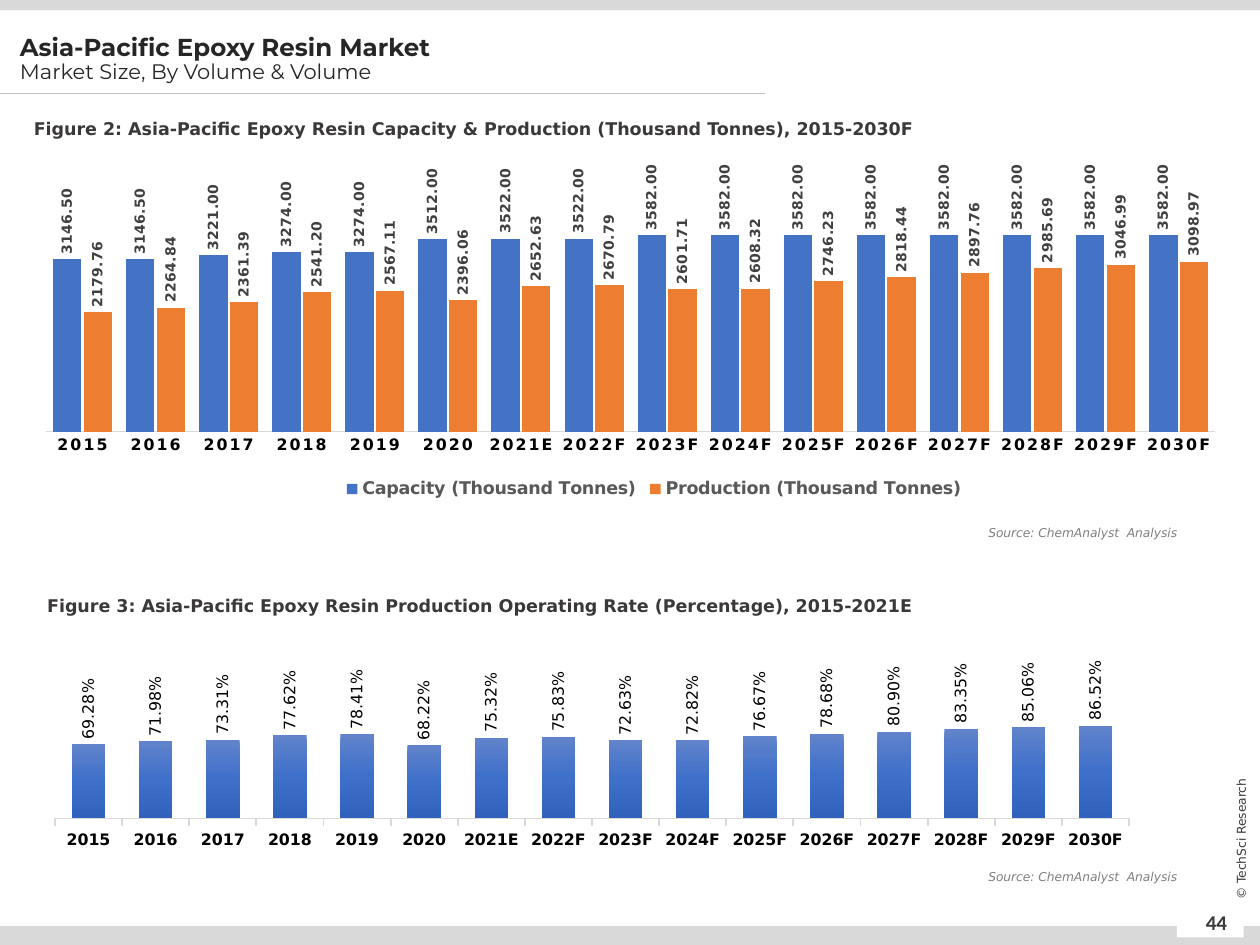
from copy import deepcopy

from lxml.etree import SubElement
from pptx import Presentation
from pptx.chart.data import CategoryChartData
from pptx.dml.color import RGBColor
from pptx.enum.chart import XL_CHART_TYPE, XL_LABEL_POSITION, XL_LEGEND_POSITION, XL_TICK_LABEL_POSITION, XL_TICK_MARK
from pptx.enum.shapes import MSO_CONNECTOR, MSO_SHAPE
from pptx.enum.text import MSO_ANCHOR, PP_ALIGN
from pptx.oxml import parse_xml
from pptx.oxml.ns import nsdecls, qn
from pptx.util import Inches, Pt

COLS, ROWS = 100, 75
WIDTH, HEIGHT = Inches(10), Inches(7.5)
SANS = "DejaVu Sans"
YEARS = [str(y) for y in range(2015, 2021)] + ["2021E"] + [f"{y}F" for y in range(2022, 2031)]
CAPACITY = [3146.5, 3146.5, 3221, 3274, 3274, 3512, 3522, 3522] + [3582] * 8
PRODUCTION = [2179.76, 2264.84, 2361.39, 2541.2, 2567.11, 2396.06, 2652.63, 2670.79,
              2601.71, 2608.32, 2746.23, 2818.44, 2897.76, 2985.69, 3046.99, 3098.97]
RATE = [0.6928, 0.7198, 0.7331, 0.7762, 0.7841, 0.6822, 0.7532, 0.7583,
        0.7263, 0.7282, 0.7667, 0.7868, 0.809, 0.8335, 0.8506, 0.8652]
HEADING = dict(size=10, bold=True, color="3B3838", name=SANS)
SOURCE = dict(size=7, italic=True, color="808080", name=SANS)
AXIS = dict(size=9, bold=True, color="000000", name=SANS)


def rgb(value):
    """Turn a hex string into a colour."""
    return RGBColor.from_string(value)


def place(box, col=0, row=0, cols=0, rows=0):
    """Return the lengths of an area measured in grid cells from a box's corner."""
    left, top = box[:2]
    return (int((left + col) * WIDTH / COLS), int((top + row) * HEIGHT / ROWS),
            int(cols * WIDTH / COLS), int(rows * HEIGHT / ROWS))


def style(font, fmt):
    """Set font attributes from a dict of format values."""
    for key, value in fmt.items():
        if key == "color":
            font.color.rgb = rgb(value)
        else:
            setattr(font, key, Pt(value) if key == "size" else value)


def text(s, area, lines, align=PP_ALIGN.LEFT, spacing=1.0, anchor=MSO_ANCHOR.TOP):
    """Add a text box with one formatted run per paragraph."""
    sp = s.shapes.add_textbox(*area)
    tf = sp.text_frame
    tf.word_wrap, tf.vertical_anchor = True, anchor
    for i, (words, fmt) in enumerate(lines):
        p = tf.add_paragraph() if i else tf.paragraphs[0]
        p.alignment, p.line_spacing = align, spacing
        r = p.add_run()
        r.text = words
        style(r.font, fmt)
    return sp


def bar(s, area, color):
    """Add a plain filled rectangle."""
    sp = s.shapes.add_shape(MSO_SHAPE.RECTANGLE, *area)
    sp.shadow.inherit = False
    sp.fill.solid()
    sp.fill.fore_color.rgb = rgb(color)
    sp.line.fill.background()


def header(s, box):
    """Draw the top band, the title and its rule."""
    bar(s, place(box, 0, 0, 100, 0.8), "D9D9D9")
    left, top, width, _ = place(box, 0, 7.4, 60.7)
    rule = s.shapes.add_connector(MSO_CONNECTOR.STRAIGHT, left, top, left + width, top)
    rule.line.color.rgb, rule.line.width = rgb("BFBFBF"), Pt(0.5)
    SubElement(rule._element.spPr, qn("a:effectLst"))
    title = dict(size=14, bold=True, color="262626", name="Montserrat")
    text(s, place(box, 0.6, 1.4, 61.3, 6.7),
         [("Asia-Pacific Epoxy Resin Market", title),
          ("Market Size, By Volume & Volume", {**title, "size": 12, "bold": False})],
         spacing=0.9, anchor=MSO_ANCHOR.MIDDLE)


def footer(s, box):
    """Draw the bottom band, the page number and the copyright line."""
    bar(s, place(box, 0, 7.7, 100, 1.5), "D9D9D9")
    bar(s, place(box, 93.4, 6.4, 5.3, 2.2), "FFFFFF")
    text(s, place(box, 94.1, 5.4, 4.9, 4),
         [("44", dict(size=12, bold=True, color="3B3838", name="Calibri"))],
         PP_ALIGN.CENTER, anchor=MSO_ANCHOR.MIDDLE)
    note = text(s, place(box, 92.5, 0, 12, 1.6),
                [("© TechSci Research", dict(size=7, color="3B3838", name=SANS))],
                PP_ALIGN.CENTER, anchor=MSO_ANCHOR.MIDDLE)
    note.rotation = 270


def set_layout(parent, index, inner, shares):
    """Fix a chart part at shares of the chart's size."""
    for old in parent.findall(qn("c:layout")):
        parent.remove(old)
    target = '<c:layoutTarget val="inner"/>' if inner else ""
    modes = "".join(f'<c:{k}Mode val="edge"/>' for k in "xy")
    sizes = "".join(f'<c:{k} val="{v}"/>' for k, v in zip("xywh", shares))
    parent.insert(index, parse_xml(f'<c:layout {nsdecls("c")}><c:manualLayout>{target}{modes}{sizes}'
                                   '</c:manualLayout></c:layout>'))


def column_chart(s, area, series, top, fmt, label_font, gap, plot_shares):
    """Add a column chart with upright value labels and no visible value axis."""
    data = CategoryChartData()
    data.categories = YEARS
    for name, values in series:
        data.add_series(name, values)
    chart = s.shapes.add_chart(XL_CHART_TYPE.COLUMN_CLUSTERED, *area, data).chart
    chart.has_title = chart.has_legend = False
    style(chart.font, dict(size=9, color="000000", name=SANS))
    plot = chart.plots[0]
    plot.vary_by_categories, plot.gap_width = False, gap
    for ser in plot.series:
        labels = ser.data_labels
        for key, value in dict(show_value=True, number_format=fmt, number_format_is_linked=False,
                               position=XL_LABEL_POSITION.OUTSIDE_END).items():
            setattr(labels, key, value)
        style(labels.font, label_font)
        body = labels._element.find(qn("c:txPr")).find(qn("a:bodyPr"))
        body.set("rot", "-5400000")
        body.set("vert", "horz")
    axis = chart.value_axis
    for key, value in dict(minimum_scale=0, maximum_scale=top, has_major_gridlines=False,
                           tick_label_position=XL_TICK_LABEL_POSITION.NONE).items():
        setattr(axis, key, value)
    axis.format.line.fill.background()
    style(chart.category_axis.tick_labels.font, AXIS)
    chart.category_axis.format.line.color.rgb = rgb("D9D9D9")
    set_layout(chart._chartSpace.chart.plotArea, 0, True, plot_shares)
    return chart


def captions(s, box, heading, heading_col, align, source_row):
    """Write a figure's heading and its source line."""
    text(s, place(box, heading_col, 0, 96.3, 3.2), [(heading, HEADING)], align, 1.5)
    text(s, place(box, 61.2, source_row, 33.2, 2.2),
         [("Source: ChemAnalyst  Analysis", SOURCE)], PP_ALIGN.RIGHT)


def capacity_panel(s, box):
    """Draw the capacity and production figure."""
    chart = column_chart(
        s, place(box, 3.6, 4.6, 92.9, 28.5),
        [("Capacity (Thousand Tonnes)", CAPACITY), ("Production (Thousand Tonnes)", PRODUCTION)],
        4000, "0.00", dict(size=8, bold=True, color="404040", name=SANS), 50, (0, 0.15, 1, 0.61))
    chart.plots[0].overlap = -8
    for ser, color in zip(chart.plots[0].series, ("4472C4", "ED7D31")):
        ser.format.fill.solid()
        ser.format.fill.fore_color.rgb = rgb(color)
    chart.value_axis.visible = False
    axis = chart.category_axis
    axis.major_tick_mark = XL_TICK_MARK.NONE
    axis.format.line.width = Pt(0.75)
    axis._element.find(".//" + qn("a:defRPr")).set("spc", "120")
    chart.has_legend = True
    legend = chart.legend
    legend.position, legend.include_in_layout = XL_LEGEND_POSITION.TOP, False
    style(legend.font, dict(size=10, bold=True, color="595959", name=SANS))
    set_layout(legend._element, 1, False, (0.25, 0.87, 0.54, 0.1))
    captions(s, box, "Figure 2: Asia-Pacific Epoxy Resin Capacity & Production (Thousand Tonnes), 2015-2030F",
             1.7, PP_ALIGN.LEFT, 33.2)


def rate_panel(s, box):
    """Draw the operating rate figure."""
    captions(s, box, "Figure 3: Asia-Pacific Epoxy Resin Production Operating Rate (Percentage), 2015-2021E",
             -10.1, PP_ALIGN.CENTER, 22.6)
    chart = column_chart(s, place(box, 1.7, 4.8, 88.8, 17.4), [("Series 1", RATE)], 1, "0.00%",
                         dict(size=9, color="000000", name=SANS), 100, (0.03, 0.33, 0.96, 0.49))
    chart.category_axis.major_tick_mark = XL_TICK_MARK.OUTSIDE
    chart.category_axis.format.line.width = Pt(1)
    ser = chart.plots[0].series[0]
    fill = ser.format.fill
    fill.gradient()
    fill.gradient_angle = 270
    stops = ser._element.find(".//" + qn("a:gsLst"))
    stops.insert(1, deepcopy(stops[0]))
    for stop, position, color in zip(fill.gradient_stops, (0, 0.5, 1), ("6183CB", "3E70CA", "3062BB")):
        stop.position, stop.color.rgb = position, rgb(color)


def main():
    """Build and save the slide."""
    prs = Presentation()
    prs.slide_width, prs.slide_height = WIDTH, HEIGHT
    s = prs.slides.add_slide(prs.slide_layouts[6])
    header(s, (0, 0))
    footer(s, (0, 65.8))
    capacity_panel(s, (0, 8))
    rate_panel(s, (0, 45.9))
    prs.save("out.pptx")


if __name__ == "__main__":
    main()
